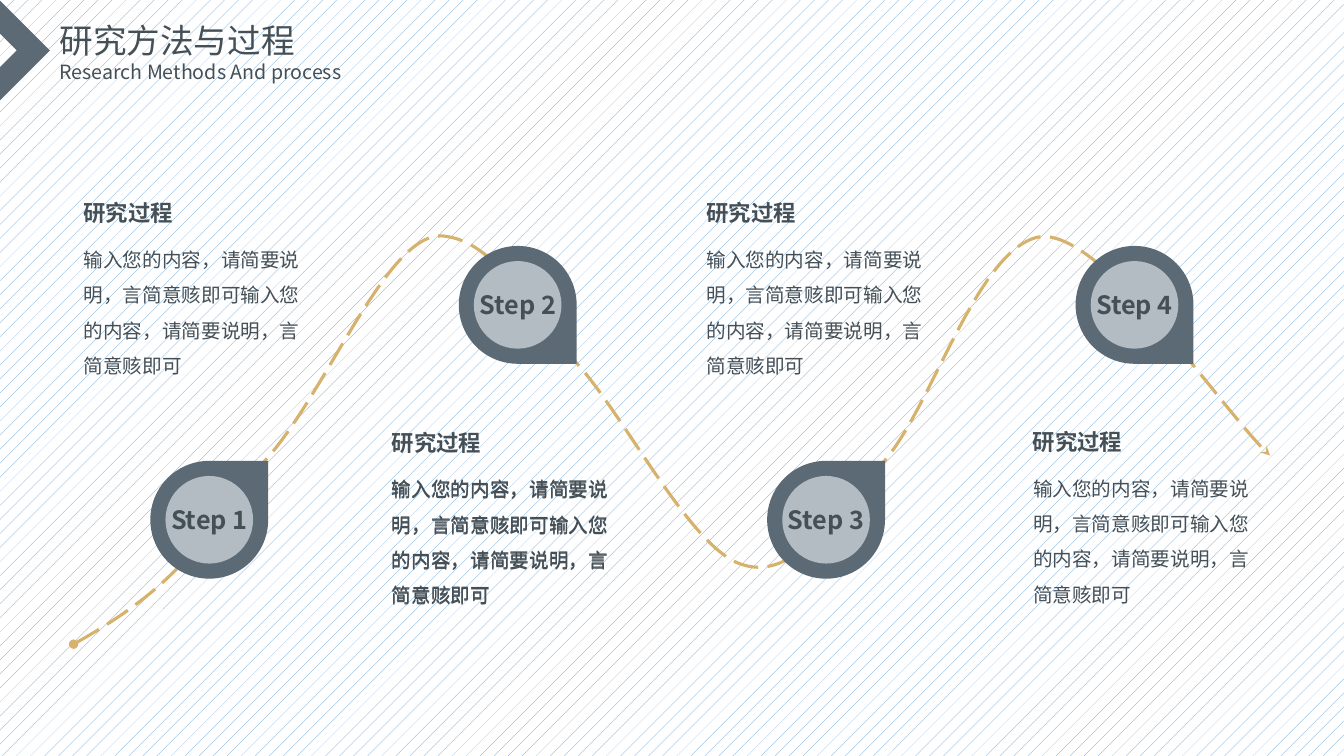
from dataclasses import dataclass

from lxml.etree import SubElement
from pptx import Presentation
from pptx.dml.color import RGBColor
from pptx.enum.dml import MSO_LINE, MSO_PATTERN
from pptx.enum.shapes import MSO_SHAPE
from pptx.enum.text import MSO_ANCHOR, MSO_AUTO_SIZE, PP_ALIGN
from pptx.oxml.ns import qn
from pptx.util import Pt


@dataclass(frozen=True)
class Theme:
    font: str = "Noto Sans CJK SC"
    ink: RGBColor = RGBColor(0x44, 0x4F, 0x56)
    slate: RGBColor = RGBColor(0x5B, 0x6A, 0x74)
    mist: RGBColor = RGBColor(0xB2, 0xBC, 0xC2)
    gold: RGBColor = RGBColor(0xD7, 0xB2, 0x6C)
    hatch: RGBColor = RGBColor(0x5B, 0x9B, 0xD5)
    paper: RGBColor = RGBColor(0xFF, 0xFF, 0xFF)
    title: float = 24
    step: float = 18
    heading: float = 16
    body: float = 14
    route: float = 2.25


@dataclass(frozen=True)
class Box:
    left: float
    top: float
    width: float
    height: float

    def lengths(self) -> tuple:
        return Pt(self.left), Pt(self.top), Pt(self.width), Pt(self.height)


@dataclass(frozen=True)
class Note:
    left: float
    top: float
    body_shifts: tuple = (26.2,)


@dataclass(frozen=True)
class Bend:
    leave: tuple
    arrive: tuple
    end: tuple


THEME = Theme()
HEADING = "研究过程"
BODY = "输入您的内容，请简要说明，言简意赅即可输入您的内容，请简要说明，言简意赅即可"
NOTES = (
    Note(52.6, 139),
    Note(272.9, 303.2, (25.8, 26.5)),
    Note(497.5, 139),
    Note(730.8, 302.4),
)

STEP_COUNT = 4
STEP_LEFT, STEP_PITCH = 107.4, 220.3
LOW_TOP, HIGH_TOP = 329.2, 175.7
DROP, RIM = 84.2, 10.8

ROUTE_START = (52.6, 460.1)
BENDS = (
    Bend((138.2, 412.6), (145.4, 378), (189.4, 329)),
    Bend((233.3, 280.8), (276.5, 165.6), (316.1, 168.5)),
    Bend((355, 172.1), (375.8, 220.3), (411.8, 259.2)),
    Bend((447.1, 298.1), (493.2, 391.7), (529.9, 403.2)),
    Bend((566.6, 415.4), (595.4, 369.4), (630.7, 330.5)),
    Bend((665.3, 291.6), (696.2, 182.9), (739.4, 169.9)),
    Bend((781.9, 157), (874.1, 295.2), (907.2, 325.4)),
)


def write(holder, text: str, size: float, bold: bool = False,
          align: PP_ALIGN = PP_ALIGN.LEFT, spacing: float = 1.0) -> None:
    frame = holder.text_frame
    frame.text = text
    paragraph = frame.paragraphs[0]
    font = paragraph.runs[0].font
    formats = {
        frame: {"word_wrap": True, "vertical_anchor": MSO_ANCHOR.TOP,
                "auto_size": MSO_AUTO_SIZE.SHAPE_TO_FIT_TEXT},
        paragraph: {"alignment": align, "line_spacing": spacing},
        font: {"name": THEME.font, "size": Pt(size), "bold": bold},
    }
    for target, values in formats.items():
        for name, value in values.items():
            setattr(target, name, value)
    font.color.rgb = THEME.ink
    run_format = paragraph.runs[0]._r.get_or_add_rPr()
    SubElement(run_format, qn("a:ea"), typeface=THEME.font)


def add_text(shapes, box: Box, text: str, size: float, **style) -> None:
    write(shapes.add_textbox(*box.lengths()), text, size, **style)


def add_solid(shapes, preset: MSO_SHAPE, box: Box, colour: RGBColor, rotation: float = 0) -> None:
    solid = shapes.add_shape(preset, *box.lengths())
    solid.rotation = rotation
    solid.shadow.inherit = False
    solid.fill.solid()
    solid.fill.fore_color.rgb = colour
    solid.line.fill.background()


def add_route(shapes) -> None:
    builder = shapes.build_freeform(*map(Pt, ROUTE_START))
    builder.add_line_segments([tuple(map(Pt, bend.end)) for bend in BENDS], close=False)
    route = builder.convert_to_shape()
    for segment, bend in zip(list(route._element.iter(qn("a:lnTo"))), BENDS):
        segment.tag = qn("a:cubicBezTo")
        for index, (x, y) in enumerate((bend.leave, bend.arrive)):
            control = SubElement(segment, qn("a:pt"),
                                 x=str(Pt(x) - route.left), y=str(Pt(y) - route.top))
            segment.insert(index, control)
    route.shadow.inherit = False
    route.fill.background()
    route.line.color.rgb = THEME.gold
    for name, value in {"width": Pt(THEME.route), "dash_style": MSO_LINE.LONG_DASH}.items():
        setattr(route.line, name, value)
    outline = route._element.spPr.find(qn("a:ln"))
    for tag, kind in {"a:headEnd": "oval", "a:tailEnd": "stealth"}.items():
        SubElement(outline, qn(tag), type=kind)


def add_step(shapes, index: int) -> None:
    left = STEP_LEFT + index * STEP_PITCH
    high = index % 2 == 1
    top = HIGH_TOP if high else LOW_TOP
    disc = DROP - 2 * RIM
    step = shapes.add_group_shape().shapes
    add_solid(step, MSO_SHAPE.TEAR, Box(left, top, DROP, DROP), THEME.slate, 90 if high else 0)
    add_solid(step, MSO_SHAPE.OVAL, Box(left + RIM, top + RIM, disc, disc), THEME.mist)
    add_text(step, Box(left + 5.4, top + 27.4, 73.4, 29), f"Step {index + 1}",
             THEME.step, bold=True, align=PP_ALIGN.CENTER)


def add_note(shapes, note: Note) -> None:
    add_text(shapes, Box(note.left, note.top, 152, 26.6), HEADING, THEME.heading, bold=True)
    for shift in note.body_shifts:
        add_text(shapes, Box(note.left, note.top + shift, 176.4, 108.7),
                 BODY, THEME.body, spacing=1.5)


def main() -> None:
    deck = Presentation()
    deck.slide_width, deck.slide_height = Pt(960), Pt(540)
    slide = deck.slides.add_slide(deck.slide_layouts[5])
    shapes = slide.shapes

    backdrop = slide.background.fill
    backdrop.patterned()
    backdrop.pattern = MSO_PATTERN.PERCENT_5
    backdrop.fore_color.rgb = THEME.hatch
    backdrop.back_color.rgb = THEME.paper

    title = shapes.title
    title_box = Box(35.3, 10.8, 196.6, 36)
    for name, value in zip(("left", "top", "width", "height"), title_box.lengths()):
        setattr(title, name, value)
    write(title, "研究方法与过程", THEME.title)
    add_text(shapes, Box(35.3, 39.6, 260.6, 24.5), "Research Methods And process", THEME.body)
    add_solid(shapes, MSO_SHAPE.HALF_FRAME, Box(-25.2, 10.8, 50.4, 50.4), THEME.slate, 135)

    add_route(shapes)
    for index in range(STEP_COUNT):
        add_step(shapes, index)
    for note in NOTES:
        add_note(shapes, note)
    deck.save("out.pptx")


if __name__ == "__main__":
    main()
